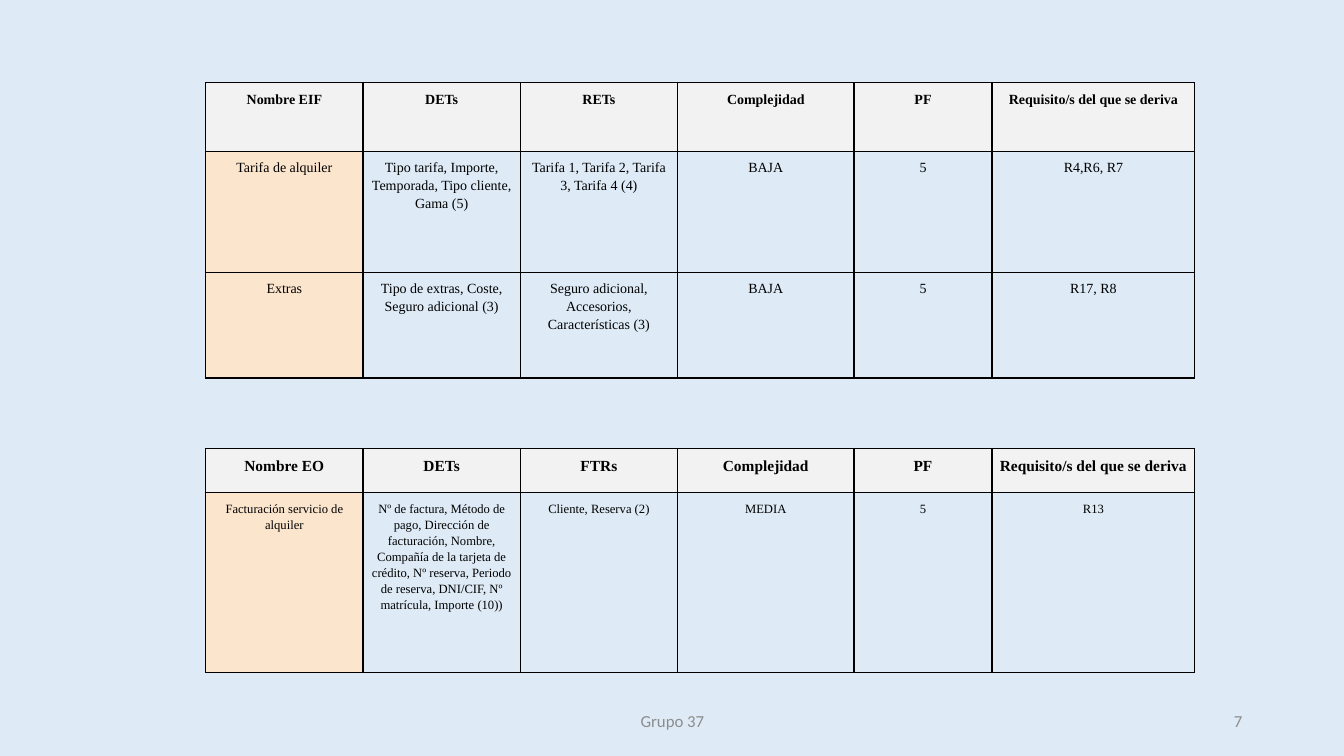
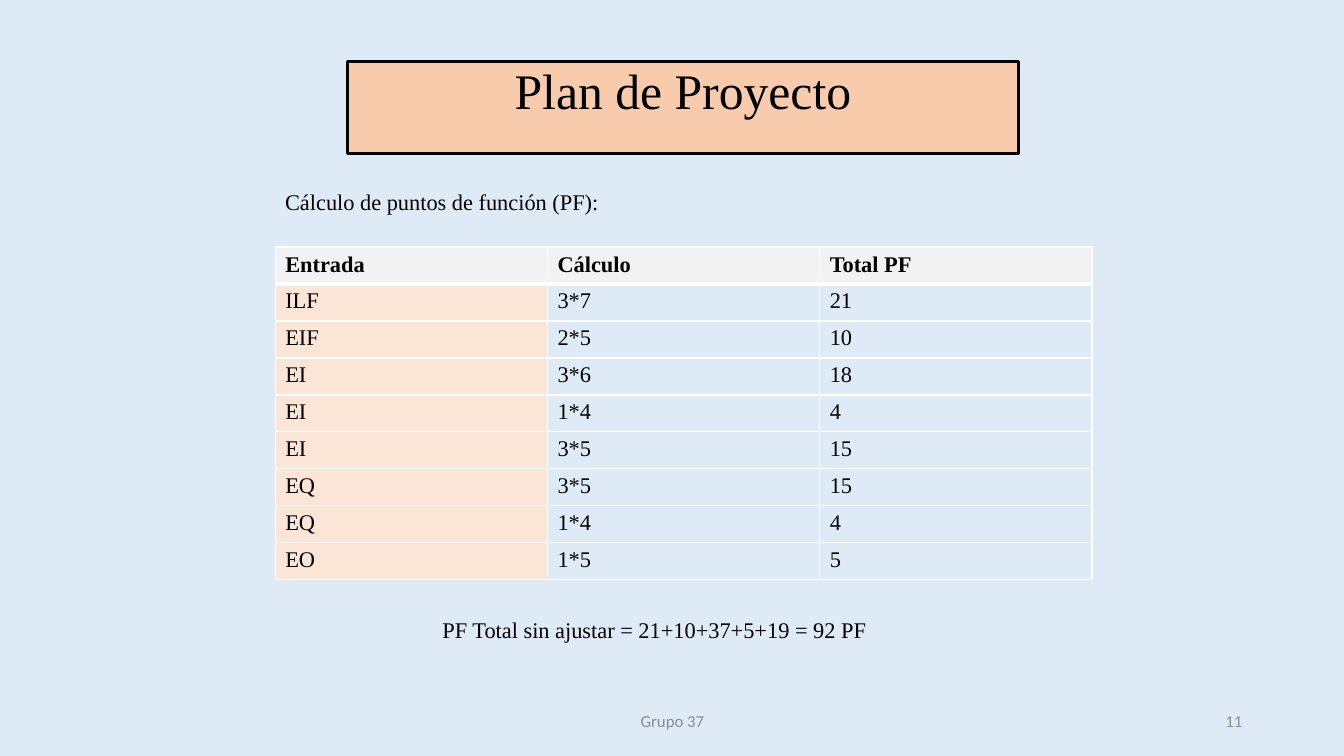
from lxml import etree
from pptx import Presentation
from pptx import util as u
from pptx.dml.color import RGBColor
from pptx.enum import text as t
from pptx.oxml import ns

PX = 9144  # EMU per px, 100 px to the inch
SERIF, SANS = "Times New Roman", "Calibri"
COLORS = {
    "sky": "DEEBF7",
    "header": "F2F2F2",
    "cream": "FCE5CD",
    "peach": "FBE5D6",
    "title": "F8CBAD",
    "ink": "000000",
    "white": "FFFFFF",
    "footer": "8C8C8C",
}
TITLE_ONLY, BLANK = 5, 6
LEFT, CENTER, RIGHT = t.PP_ALIGN.LEFT, t.PP_ALIGN.CENTER, t.PP_ALIGN.RIGHT
TOP, MIDDLE = t.MSO_ANCHOR.TOP, t.MSO_ANCHOR.MIDDLE

FUNCTION_COLUMNS = [156, 156, 156, 175, 137, 201]
EIF_ROWS = [
    ["Nombre EIF", "DETs", "RETs", "Complejidad", "PF", "Requisito/s del que se deriva"],
    ["Tarifa de alquiler", "Tipo tarifa, Importe, Temporada, Tipo cliente, Gama (5)",
     "Tarifa 1, Tarifa 2, Tarifa 3, Tarifa 4 (4)", "BAJA", "5", "R4,R6, R7"],
    ["Extras", "Tipo de extras, Coste, Seguro adicional (3)",
     "Seguro adicional, Accesorios, Características (3)", "BAJA", "5", "R17, R8"],
]
EO_ROWS = [
    ["Nombre EO", "DETs", "FTRs", "Complejidad", "PF", "Requisito/s del que se deriva"],
    ["Facturación servicio de alquiler",
     "Nº de factura, Método de pago, Dirección de facturación, Nombre, "
     "Compañía de la tarjeta de crédito, Nº reserva, Periodo de reserva, "
     "DNI/CIF, Nº matrícula, Importe (10))",
     "Cliente, Reserva (2)", "MEDIA", "5", "R13"],
]
TOTAL_ROWS = [
    ["Entrada", "Cálculo", "Total PF"],
    ["ILF", "3*7", "21"],
    ["EIF", "2*5", "10"],
    ["EI", "3*6", "18"],
    ["EI", "1*4", "4"],
    ["EI", "3*5", "15"],
    ["EQ", "3*5", "15"],
    ["EQ", "1*4", "4"],
    ["EO", "1*5", "5"],
]


def px(*lengths):
    return [u.Emu(length * PX) for length in lengths]


def rgb(name):
    return RGBColor.from_string(COLORS[name])


def write(frame, words, size=16, font=SERIF, color="ink", bold=False,
          align=LEFT, spacing=1.0, indent=0):
    para = frame.paragraphs[0]
    para.alignment, para.line_spacing = align, spacing
    if indent:
        properties = para._p.get_or_add_pPr()
        properties.set("marL", str(indent * PX))
        properties.set("indent", "0")
    span = para.add_run()
    span.text = words
    span.font.name, span.font.size, span.font.bold = font, u.Pt(size), bold
    span.font.color.rgb = rgb(color)


def add_label(page, box, words, anchor=TOP, **style):
    frame = page.shapes.add_textbox(*px(*box)).text_frame
    frame.word_wrap = True
    frame.vertical_anchor = anchor
    write(frame, words, **style)


def set_borders(cell, color, bottom=1):
    """Draw 1 pt lines on all sides; the bottom width can differ."""
    properties = cell._tc.get_or_add_tcPr()
    for side, points in (("L", 1), ("R", 1), ("T", 1), ("B", bottom)):
        line = etree.SubElement(properties, ns.qn(f"a:ln{side}"), w=str(u.Pt(points)))
        fill = etree.SubElement(line, ns.qn("a:solidFill"))
        etree.SubElement(fill, ns.qn("a:srgbClr"), val=COLORS[color])


def add_grid(page, left, top, columns, heights, rows, first_column, line,
             head_size=16, body_size=16, head_rule=1, insets=None, **style):
    box = px(left, top, sum(columns), sum(heights))
    table = page.shapes.add_table(len(rows), len(columns), *box).table
    table.first_row = table.horz_banding = False
    for column, width in zip(table.columns, px(*columns)):
        column.width = width
    for row, height in zip(table.rows, px(*heights)):
        row.height = height
    for i, row in enumerate(rows):
        is_head = i == 0
        for j, words in enumerate(row):
            cell = table.cell(i, j)
            if insets:
                side, edge = px(*insets)
                cell.margin_left = cell.margin_right = side
                cell.margin_top = cell.margin_bottom = edge
            # Rows that meet share one rule, so both cells give its width.
            set_borders(cell, line, bottom=head_rule if is_head else 1)
            if i == 1:
                cell._tc.tcPr.find(ns.qn("a:lnT")).set("w", str(u.Pt(head_rule)))
            if is_head or j == 0:
                cell.fill.solid()
                cell.fill.fore_color.rgb = rgb("header" if is_head else first_column)
            else:
                cell.fill.background()
            write(cell.text_frame, words, size=head_size if is_head else body_size,
                  bold=is_head, **style)


def add_footer(page, number):
    style = dict(anchor=MIDDLE, size=12, font=SANS, color="footer")
    add_label(page, (442, 695, 450, 40), "Grupo 37", align=CENTER, **style)
    add_label(page, (942, 695, 300, 40), str(number), align=RIGHT, **style)


def add_title(page, box, words):
    title = page.shapes.title
    title.left, title.top, title.width, title.height = px(*box)
    title.fill.solid()
    title.fill.fore_color.rgb = rgb("title")
    title.line.color.rgb = rgb("ink")
    title.line.width = u.Pt(2.25)
    frame = title.text_frame
    frame.auto_size = t.MSO_AUTO_SIZE.NONE
    frame.vertical_anchor = TOP
    write(frame, words, size=35.5, align=CENTER, spacing=0.9)


def build_function_page(deck, number):
    page = deck.slides.add_slide(deck.slide_layouts[BLANK])
    style = dict(columns=FUNCTION_COLUMNS, first_column="cream", line="ink",
                 insets=(6, 7), align=CENTER, spacing=1.15)
    add_grid(page, 204, 82, heights=[68, 120, 105], rows=EIF_ROWS,
             head_size=10, body_size=10, **style)
    add_grid(page, 204, 445, heights=[44, 178], rows=EO_ROWS,
             head_size=11, body_size=9, **style)
    add_footer(page, number)


def build_plan_page(deck, number):
    page = deck.slides.add_slide(deck.slide_layouts[TITLE_ONLY])
    add_title(page, (345, 61, 665, 91), "Plan de Proyecto")
    add_label(page, (273, 182, 780, 37), "Cálculo de puntos de función (PF):")
    add_grid(page, 273, 245, columns=[270] * 3, heights=[30] * len(TOTAL_ROWS),
             rows=TOTAL_ROWS, first_column="peach", line="white", head_rule=3)
    add_label(page, (329, 602, 667, 39), "PF Total sin ajustar = 21+10+37+5+19 = 92 PF",
              spacing=1.15, indent=100)
    add_footer(page, number)


def main():
    deck = Presentation()
    deck.slide_width, deck.slide_height = px(1333, 750)
    background = deck.slide_master.background.fill
    background.solid()
    background.fore_color.rgb = rgb("sky")
    build_function_page(deck, 7)
    build_plan_page(deck, 11)
    deck.save("out.pptx")


if __name__ == "__main__":
    main()
